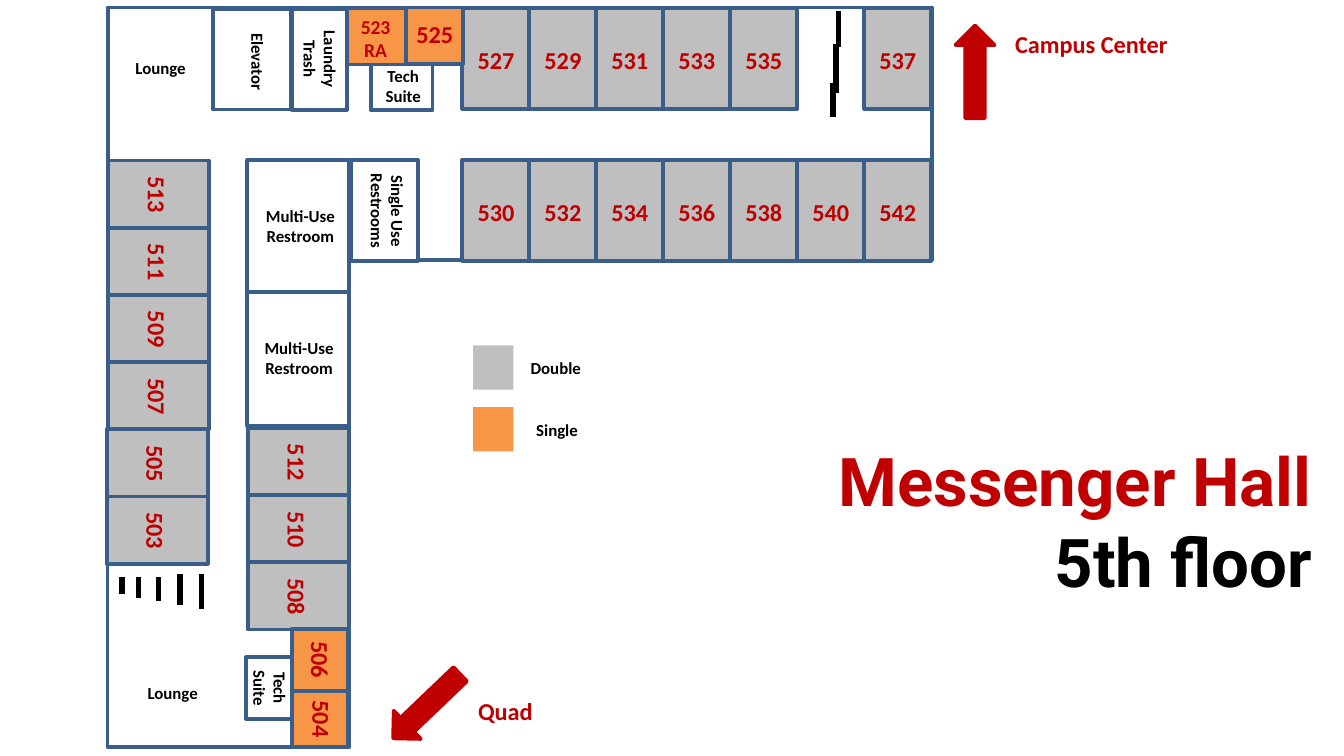
from pptx import Presentation
from pptx.dml.color import RGBColor
from pptx.enum.shapes import MSO_CONNECTOR, MSO_SHAPE
from pptx.enum.text import MSO_ANCHOR, PP_ALIGN
from pptx.oxml.ns import qn
from pptx.util import Inches, Pt
from lxml.etree import SubElement

WHITE, BLACK, RED = "FFFFFF", "000000", "C00000"
WALL, DOUBLE, SINGLE = "395E89", "BFBFBF", "F79646"


def rgb(color):
    return RGBColor.from_string(color)


def write(sp, text, size=9, color=BLACK):
    """Put centred bold lines at the top of a shape or text box."""
    tf = sp.text_frame
    tf.word_wrap = True
    tf.vertical_anchor = MSO_ANCHOR.TOP
    tf.margin_left = tf.margin_right = Inches(0.03)
    tf.margin_top = tf.margin_bottom = Inches(0.01)
    for i, line in enumerate(text.split("\n")):
        p = tf.add_paragraph() if i else tf.paragraphs[0]
        p.text = line
        p.alignment = PP_ALIGN.CENTER
        p.font.name, p.font.size, p.font.bold = "Calibri", Pt(size), True
        p.font.color.rgb = rgb(color)


def box(s, x, y, w, h, fill=WHITE, line=WALL, rotation=0, kind=MSO_SHAPE.RECTANGLE):
    sp = s.shapes.add_shape(kind, Inches(x), Inches(y), Inches(w), Inches(h))
    sp.shadow.inherit = False
    sp.rotation = rotation
    sp.fill.solid()
    sp.fill.fore_color.rgb = rgb(fill)
    if line:
        sp.line.color.rgb = rgb(line)
        sp.line.width = Pt(2)
    else:
        sp.line.fill.background()
    return sp


def label(s, text, x, y, w=0.63, h=0.32, rotation=0, size=9, color=BLACK):
    sp = s.shapes.add_textbox(Inches(x), Inches(y), Inches(w), Inches(h))
    sp.rotation = rotation
    write(sp, text, size, color)


def double_room(s, number, x, y, rotation=0):
    box(s, x, y, 0.5, 0.75, DOUBLE, rotation=rotation)
    dx, dy = (-0.04, 0.18) if rotation else (0.05, 0.27)
    label(s, str(number), x + dx, y + dy, 0.4, 0.4, rotation, 13, RED)


def stair(s, x, bottom, top):
    ln = s.shapes.add_connector(MSO_CONNECTOR.STRAIGHT, Inches(x), Inches(bottom),
                                Inches(x), Inches(top))
    ln.line.color.rgb = rgb(BLACK)
    ln.line.width = Pt(3)
    SubElement(ln._element.spPr, qn("a:effectLst"))


def arrow(s, x, y, rotation):
    box(s, x, y, 0.69, 0.29, RED, RED, rotation, MSO_SHAPE.RIGHT_ARROW)


def title(s):
    sp = s.shapes.add_textbox(Inches(4.86), Inches(3.22), Inches(5), Inches(1.31))
    tf = sp.text_frame
    tf.word_wrap = True
    for i, (text, color) in enumerate([("Messenger Hall", RED), ("5th floor", BLACK)]):
        p = tf.add_paragraph() if i else tf.paragraphs[0]
        p.text = text
        p.alignment = PP_ALIGN.RIGHT
        p.font.name, p.font.size, p.font.bold = "Roboto", Pt(36), True
        p.font.color.rgb = rgb(color)


def outline(s):
    box(s, 0.8, 0.06, 1.8, 5.5)
    box(s, 2.93, -2.07, 1.88, 6.13, rotation=90)
    box(s, 0.82, 1.83, 1.77, 0.36, line=None)


def double_rooms(s):
    first, last = 3.44, 6.43
    pitch = (last - first) / 6
    for i in range(7):
        x = first + i * pitch
        double_room(s, 530 + 2 * i, x, 1.19)
        if i < 5:
            double_room(s, 527 + 2 * i, x, 0.06)
    double_room(s, 537, last, 0.06)
    for i in range(6):
        double_room(s, 513 - 2 * i, 0.93 if i < 4 else 0.92, 1.07 + 0.5 * i, 90)
    for i in range(3):
        double_room(s, 512 - 2 * i, 1.97, 3.06 + 0.5 * i, 90)


def single_rooms(s):
    box(s, 3.02, 0.05, 0.42, 0.43, SINGLE, rotation=270)
    label(s, "525", 3.05, 0.13, 0.37, 0.4, 0, 13, RED)
    box(s, 2.58, 0.04, 0.42, 0.46, SINGLE, rotation=270)
    label(s, "523\nRA", 2.61, 0.1, 0.37, 0.4, 0, 10.5, RED)
    box(s, 2.17, 5.13, 0.42, 0.43, SINGLE)
    label(s, "504", 2.13, 5.15, 0.37, 0.4, 90, 13, RED)
    box(s, 2.17, 4.68, 0.42, 0.46, SINGLE)
    label(s, "506", 2.12, 4.71, 0.37, 0.4, 90, 13, RED)


def shared_rooms(s):
    box(s, 2.82, 0.42, 0.34, 0.46, rotation=270)
    label(s, "Tech\nSuite", 2.83, 0.48, 0.34)
    box(s, 1.83, 4.89, 0.34, 0.46)
    label(s, "Tech\nSuite", 1.84, 4.96, 0.34, rotation=90)
    label(s, "Lounge", 0.97, 5.07)
    label(s, "Lounge", 0.88, 0.42)
    box(s, 2, 0.24, 0.75, 0.41, rotation=270)
    box(s, 1.5, 0.15, 0.75, 0.58, rotation=270)
    label(s, "Elevator", 1.53, 0.3, rotation=90)
    label(s, "Laundry\nTrash", 2.07, 0.28, rotation=90)


def restrooms(s):
    box(s, 2.61, 1.19, 0.5, 0.75)
    box(s, 1.73, 1.3, 0.98, 0.76, rotation=270)
    box(s, 1.72, 2.29, 1, 0.76, rotation=270)
    for text, x, y, rotation in [("Single Use Restrooms", 2.51, 1.37, 90),
                                 ("Multi-Use Restroom", 1.9, 1.52, 0),
                                 ("Multi-Use Restroom", 1.89, 2.5, 0)]:
        write(box(s, x, y, 0.67, 0.4, line=None, rotation=rotation), text)


def stairs(s):
    for step in [(6.22, 0.69, 0.47), (6.24, 0.35, 0.19), (6.22, 0.52, 0.33),
                 (6.24, 0.21, 0.08), (6.2, 0.87, 0.62), (1.34, 4.5, 4.27),
                 (1.03, 4.45, 4.29), (1.18, 4.47, 4.29), (0.91, 4.42, 4.29),
                 (1.5, 4.53, 4.27)]:
        stair(s, *step)


def directions(s):
    label(s, "Campus Center", 7.3, 0.21, 1.64, 0.51, size=13, color=RED)
    label(s, "Quad", 2.94, 5.17, 1.64, 0.51, size=13, color=RED)
    arrow(s, 2.83, 5.11, 136.3)
    arrow(s, 6.91, 0.39, 270)


def legend(s):
    for text, fill, x, y in [("Double", DOUBLE, 3.82, 2.57), ("Single", SINGLE, 3.83, 3.03)]:
        box(s, 3.52, y, 0.3, 0.33, fill, None)
        label(s, text, x, y + 0.08)


def main():
    prs = Presentation()
    prs.slide_width = Inches(10)
    prs.slide_height = prs.slide_width * 9 // 16
    s = prs.slides.add_slide(prs.slide_layouts[6])
    title(s)
    outline(s)
    restrooms(s)
    double_rooms(s)
    stairs(s)
    single_rooms(s)
    shared_rooms(s)
    directions(s)
    legend(s)
    prs.save("out.pptx")


if __name__ == "__main__":
    main()
